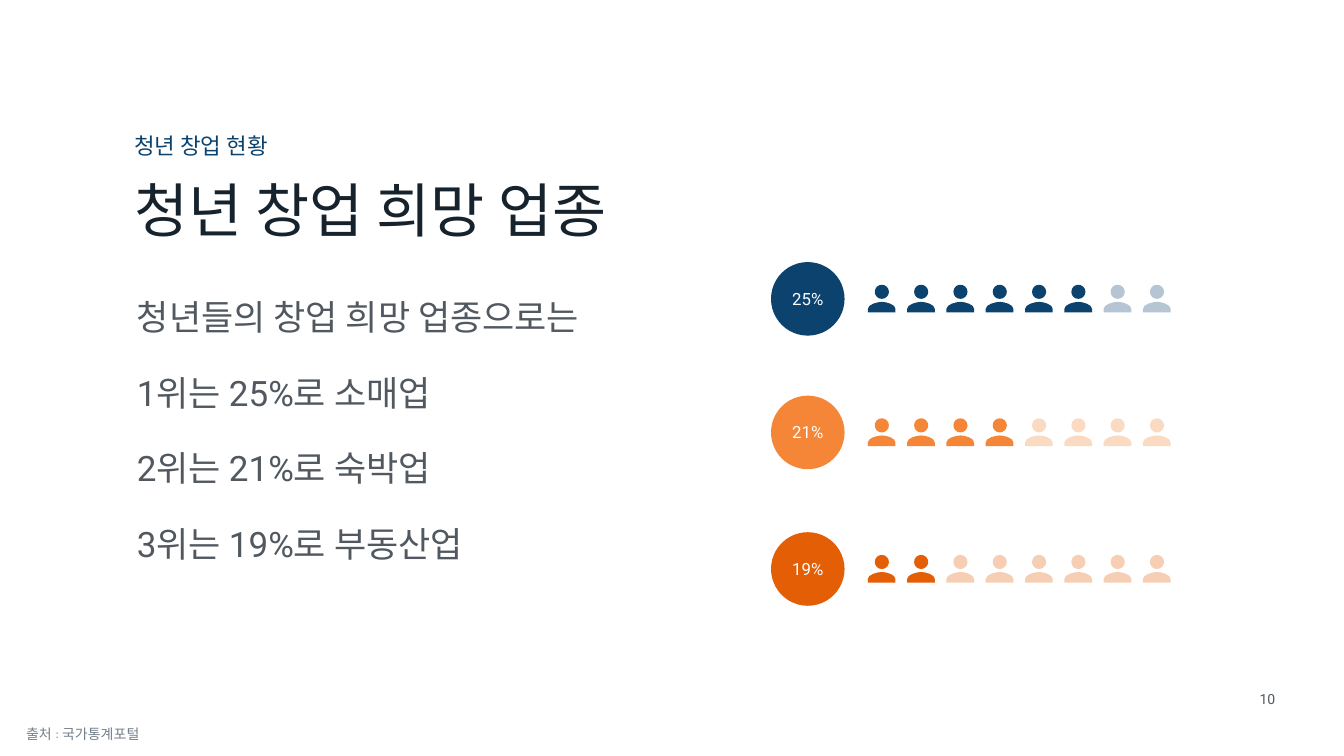
from lxml.etree import SubElement
from pptx import Presentation
from pptx.dml.color import RGBColor
from pptx.enum.shapes import MSO_SHAPE
from pptx.enum.text import MSO_ANCHOR, MSO_AUTO_SIZE, PP_ALIGN
from pptx.oxml.ns import qn
from pptx.util import Inches, Pt

NAVY, ORANGE, RUST = "0B426E", "F58637", "E45E06"
INK, GRAY, SLATE, WHITE = "16222C", "51585F", "74808C", "FEFFFF"
TIGHT, NORMAL = (0.04, 0.04), (0.1, 0.05)

ICON_COUNT = 8
ICON_STEP = 0.78
CIRCLE_SIZE = 1.46

# Person icon: a start point, then three points for each curve; the rest are corners
HEAD = ((0.28, 0), (0.35, 0), (0.42, 0.06), (0.42, 0.14),
        (0.42, 0.22), (0.35, 0.28), (0.28, 0.28),
        (0.2, 0.28), (0.14, 0.22), (0.14, 0.14),
        (0.14, 0.06), (0.2, 0), (0.28, 0))
SHOULDERS = ((0, 0.48), (0, 0.39), (0.19, 0.34), (0.28, 0.34),
             (0.37, 0.34), (0.55, 0.39), (0.55, 0.48),
             (0.55, 0.55), (0, 0.55))


def color(value):
    return RGBColor.from_string(value)


def fill_shape(shape, value, opacity=100):
    shape.shadow.inherit = False
    shape.line.fill.background()
    shape.fill.solid()
    shape.fill.fore_color.rgb = color(value)
    if opacity < 100:
        fill_color = shape.fill._xPr.find(qn("a:solidFill"))[0]
        SubElement(fill_color, qn("a:alpha")).set("val", str(opacity * 1000))


def write_text(shape, text, size, text_color, font="Roboto", align=PP_ALIGN.LEFT,
               insets=TIGHT, anchor=MSO_ANCHOR.TOP, spacing=None, grow=False):
    frame = shape.text_frame
    frame.word_wrap = True
    frame.auto_size = MSO_AUTO_SIZE.SHAPE_TO_FIT_TEXT if grow else MSO_AUTO_SIZE.NONE
    frame.vertical_anchor = anchor
    frame.margin_left = frame.margin_right = Inches(insets[0])
    frame.margin_top = frame.margin_bottom = Inches(insets[1])
    frame.text = text
    for paragraph in frame.paragraphs:
        paragraph.alignment = align
        paragraph.line_spacing = spacing
        for run in paragraph.runs:
            run.font.name = font
            run.font.size = Pt(size)
            run.font.color.rgb = color(text_color)


def add_text(shapes, box, text, size, text_color, **options):
    shape = shapes.add_textbox(*map(Inches, box))
    write_text(shape, text, size, text_color, **options)


def round_outline(shape):
    """Turn each full run of three line segments into one Bezier curve."""
    segments = []
    for step in list(shape._element.iter(qn("a:moveTo"), qn("a:lnTo"))):
        if step.tag == qn("a:moveTo"):
            segments = []
            continue
        segments.append(step)
        if len(segments) == 3:
            first, second, third = segments
            first.tag = qn("a:cubicBezTo")
            for segment in (second, third):
                first.append(segment[0])
                segment.getparent().remove(segment)
            segments = []


def add_person(shapes, left, top, value, opacity):
    head, shoulders = [[(Inches(left + x), Inches(top + y)) for x, y in outline]
                       for outline in (HEAD, SHOULDERS)]
    builder = shapes.build_freeform(*head[0])
    builder.add_line_segments(head[1:], close=True)
    builder.move_to(*shoulders[0])
    builder.add_line_segments(shoulders[1:], close=True)
    person = builder.convert_to_shape()
    round_outline(person)
    fill_shape(person, value, opacity)


def add_share_row(slide, left, top, label, filled, value):
    shapes = slide.shapes.add_group_shape().shapes
    # People icons: solid ones first, then faded ones
    for index in range(ICON_COUNT):
        add_person(shapes, left + 1.92 + index * ICON_STEP, top + 0.45, value,
                   100 if index < filled else 30)
    # Circle with the percentage
    circle = shapes.add_shape(MSO_SHAPE.OVAL, Inches(left), Inches(top),
                              Inches(CIRCLE_SIZE), Inches(CIRCLE_SIZE))
    fill_shape(circle, value)
    add_text(shapes, (left, top + 0.48, CIRCLE_SIZE, 0.58), label, 24, WHITE,
             align=PP_ALIGN.CENTER)


def add_heading(slide, left, top):
    add_text(slide.shapes, (left, top, 6.12, 0.62), "청년 창업 현황", 32, NAVY,
             anchor=MSO_ANCHOR.MIDDLE, grow=True)
    title = slide.shapes.title
    title.left, title.top = Inches(left), Inches(top + 0.84)
    title.width, title.height = Inches(11.42), Inches(1.73)
    write_text(title, "청년 창업 희망 업종", 84, INK)


def add_ranking(slide, box):
    lines = ("청년들의 창업 희망 업종으로는", "1위는 25%로 소매업",
             "2위는 21%로 숙박업", "3위는 19%로 부동산업")
    add_text(slide.shapes, box, "\n".join(lines), 50, GRAY, insets=NORMAL,
             spacing=1.8, grow=True)


def add_footer(slide):
    add_text(slide.shapes, (24.66, 13.66, 0.98, 0.42), "10", 20, GRAY,
             align=PP_ALIGN.CENTER, grow=True)
    add_text(slide.shapes, (0.42, 14.35, 3.07, 0.44), "출처 : 국가통계포털", 20, SLATE,
             font="Manrope", insets=NORMAL, grow=True)


def main():
    presentation = Presentation()
    presentation.slide_width, presentation.slide_height = Inches(26.67), Inches(15)
    slide = presentation.slides.add_slide(presentation.slide_layouts[5])
    add_heading(slide, 2.62, 2.57)
    add_ranking(slide, (2.62, 5.15, 10.3, 5.94))
    for top, label, filled, value in ((5.2, "25%", 6, NAVY), (7.85, "21%", 4, ORANGE),
                                      (10.56, "19%", 2, RUST)):
        add_share_row(slide, 15.3, top, label, filled, value)
    add_footer(slide)
    presentation.save("out.pptx")


if __name__ == "__main__":
    main()
